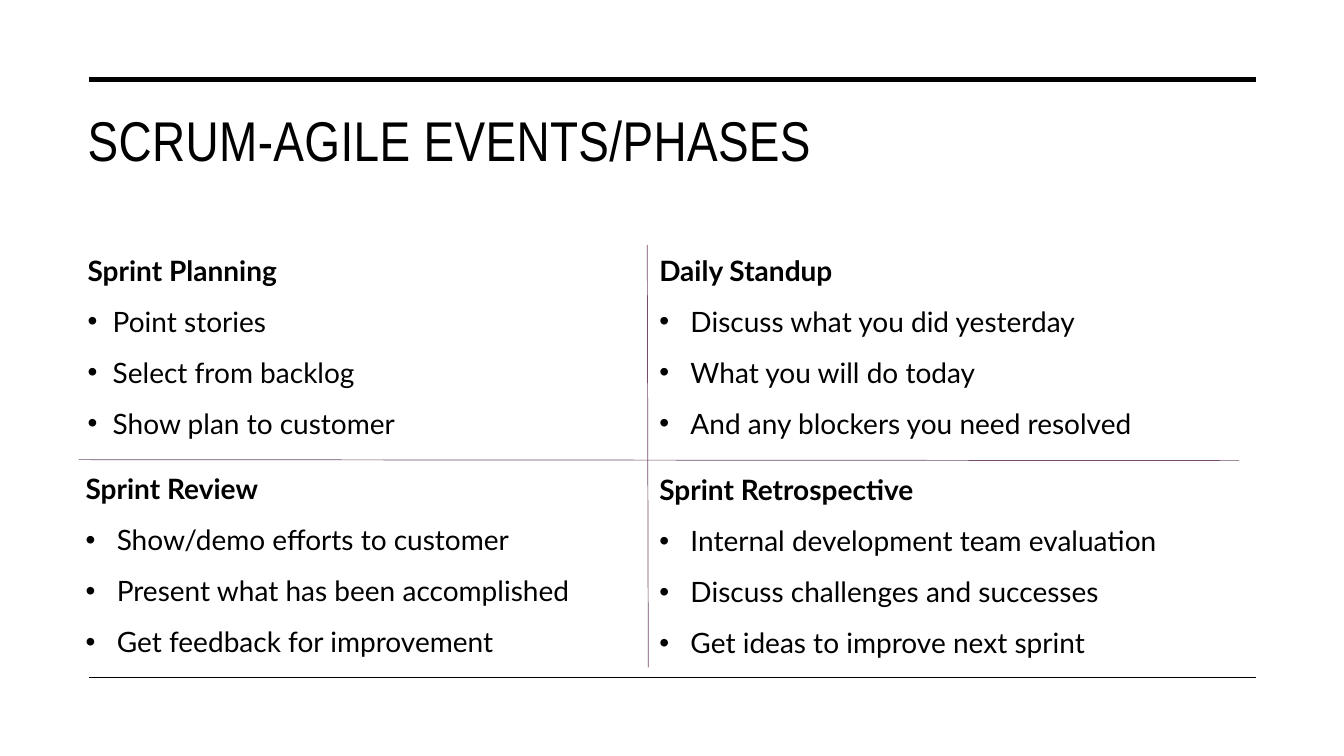
from dataclasses import dataclass

from lxml.etree import SubElement
from pptx import Presentation
from pptx.dml.color import RGBColor
from pptx.enum.shapes import MSO_CONNECTOR
from pptx.enum.text import MSO_ANCHOR, PP_ALIGN
from pptx.oxml.ns import qn
from pptx.util import Inches, Pt


@dataclass(frozen=True)
class Theme:
    ink: RGBColor = RGBColor(0x00, 0x00, 0x00)
    divider: RGBColor = RGBColor(0x73, 0x4B, 0x67)
    title_font: str = "Arial Narrow"
    body_font: str = "Lato"
    title_size: int = 40
    body_size: int = 20
    line_spacing: float = 1.1
    space_before: int = 10


class SlideBuilder:
    def __init__(self, slide, theme):
        self.slide = slide
        self.theme = theme

    def style(self, paragraph, font_name, size, bold=False):
        font = paragraph.font
        font.name, font.size, font.bold = font_name, Pt(size), bold
        font.color.rgb = self.theme.ink

    def line(self, start, end, color, width):
        ends = [Inches(value) for value in (*start, *end)]
        connector = self.slide.shapes.add_connector(MSO_CONNECTOR.STRAIGHT, *ends)
        connector.line.color.rgb = color
        connector.line.width = Pt(width)
        SubElement(connector._element.spPr, qn("a:effectLst"))

    def title(self, text, left, top, width, height):
        title = self.slide.shapes.title
        title.left, title.top = Inches(left), Inches(top)
        title.width, title.height = Inches(width), Inches(height)
        frame = title.text_frame
        frame.text = text
        frame.word_wrap = True
        frame.vertical_anchor = MSO_ANCHOR.TOP
        paragraph = frame.paragraphs[0]
        paragraph.alignment = PP_ALIGN.LEFT
        self.style(paragraph, self.theme.title_font, self.theme.title_size)
        paragraph.runs[0].font._element.set("spc", "30")

    def bullet(self, paragraph, indent):
        properties = paragraph._p.get_or_add_pPr()
        properties.set("marL", str(Inches(indent)))
        properties.set("indent", str(-Inches(indent)))
        SubElement(properties, qn("a:buFont"), typeface="Arial")
        SubElement(properties, qn("a:buChar"), char="•")

    def quadrant(self, heading, points, box, indent):
        """Add a bold heading with its bulleted points."""
        theme = self.theme
        text_box = self.slide.shapes.add_textbox(*[Inches(value) for value in box])
        frame = text_box.text_frame
        frame.word_wrap = True
        frame.text = "\n".join([heading, *points])
        for index, paragraph in enumerate(frame.paragraphs):
            is_heading = index == 0
            if not is_heading:
                self.bullet(paragraph, indent)
                paragraph.space_before = Pt(theme.space_before)
            paragraph.line_spacing = theme.line_spacing
            self.style(paragraph, theme.body_font, theme.body_size, is_heading)


EVENTS = [
    ("Sprint Planning",
     ["Point stories", "Select from backlog", "Show plan to customer"],
     (0.77, 2.43, 5.67, 2.16), 0.25),
    ("Daily Standup",
     ["Discuss what you did yesterday", "What you will do today",
      "And any blockers you need resolved"],
     (6.44, 2.43, 6.01, 1.98), 0.31),
    ("Sprint Review",
     ["Show/demo efforts to customer", "Present what has been accomplished",
      "Get feedback for improvement"],
     (0.75, 4.6, 5.69, 1.98), 0.31),
    ("Sprint Retrospective",
     ["Internal development team evaluation", "Discuss challenges and successes",
      "Get ideas to improve next sprint"],
     (6.44, 4.61, 6.01, 1.98), 0.31),
]


def main():
    presentation = Presentation()
    presentation.slide_width = Inches(13.33)
    presentation.slide_height = Inches(7.5)
    title_only = presentation.slide_layouts[5]
    theme = Theme()
    builder = SlideBuilder(presentation.slides.add_slide(title_only), theme)

    for y, width in ((0.79, 3.5), (6.72, 1)):
        builder.line((0.88, y), (12.46, y), theme.ink, width)
    builder.title("SCRUM-AGILE EVENTS/PHASES", 0.77, 1, 11.69, 1.43)
    for event in EVENTS:
        builder.quadrant(*event)
    builder.line((0.78, 4.56), (12.29, 4.57), theme.divider, 0.5)
    builder.line((6.43, 6.62), (6.42, 2.43), theme.divider, 0.5)

    presentation.save("out.pptx")


if __name__ == "__main__":
    main()
